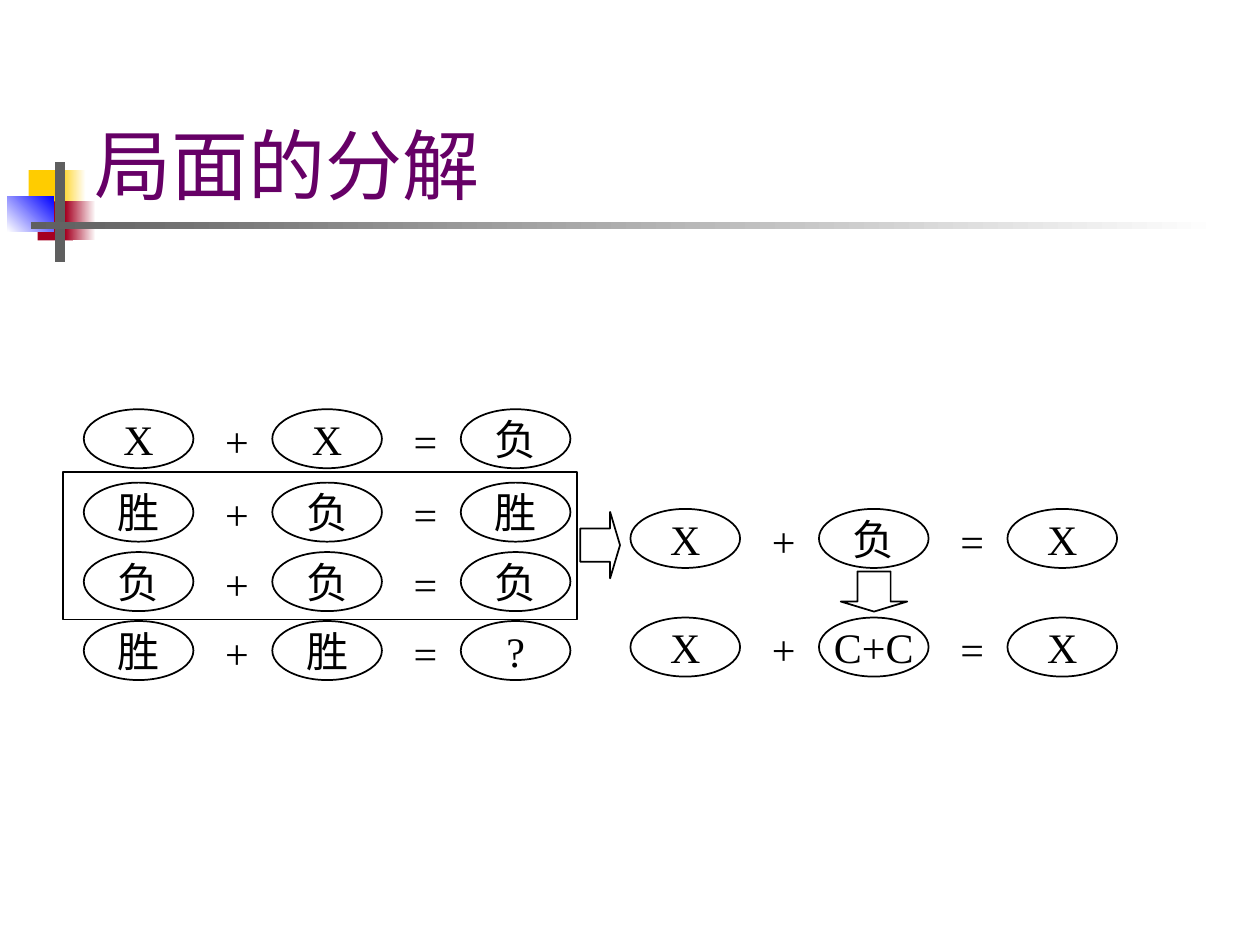
from dataclasses import dataclass

from pptx import Presentation
from pptx import util as u
from pptx.dml.color import RGBColor
from pptx.enum import shapes, text

Cm = u.Cm
PRESET = shapes.MSO_SHAPE
BLACK, WHITE, PURPLE = "000000", "FFFFFF", "660066"
YELLOW, RED, BLUE, GRAY = "FFCC00", "A50021", "0000FF", "5F5F5F"

# Equation grid, in centimetres
OVAL_WIDTH, OVAL_HEIGHT = 2.21, 1.19
COLUMN_STEP = 3.8
OPERATOR_OFFSET, OPERATOR_WIDTH, OPERATOR_HEIGHT = 2.6, 1.0, 1.27
LEFT_COLUMN, RIGHT_COLUMN = 1.69, 12.71


@dataclass
class Box:
    left: float
    top: float
    width: float
    height: float

    def lengths(self) -> tuple:
        return Cm(self.left), Cm(self.top), Cm(self.width), Cm(self.height)


@dataclass
class Ornament:
    box: Box
    color: str
    end_color: str = ""
    angle: int = 0


@dataclass
class Equation:
    left: float
    top: float
    terms: tuple


ORNAMENTS = [
    Ornament(Box(0.58, 3.43, 0.74, 0.79), YELLOW),
    Ornament(Box(1.17, 3.43, 0.56, 0.79), WHITE, YELLOW, 180),
    Ornament(Box(0.76, 4.06, 0.71, 0.79), RED),
    Ornament(Box(1.32, 4.06, 0.61, 0.79), WHITE, RED, 180),
    Ornament(Box(0.15, 3.96, 0.94, 0.71), BLUE, WHITE, 225),
    Ornament(Box(1.11, 3.27, 0.2, 2.01), GRAY),
    Ornament(Box(0.62, 4.47, 24, 0.15), WHITE, GRAY, 180),
]

EQUATIONS = [
    Equation(LEFT_COLUMN, 9.73, ("胜", "负", "胜")),
    Equation(LEFT_COLUMN, 11.13, ("负", "负", "负")),
    Equation(LEFT_COLUMN, 12.52, ("胜", "胜", "?")),
    Equation(RIGHT_COLUMN, 12.45, ("X", "C+C", "X")),
    Equation(LEFT_COLUMN, 8.25, ("X", "X", "负")),
    Equation(RIGHT_COLUMN, 10.26, ("X", "负", "X")),
]

OUTLINES = [
    (PRESET.DOWN_ARROW, Box(16.95, 11.52, 1.34, 0.81)),
    (PRESET.RIGHT_ARROW, Box(11.7, 10.32, 0.8, 1.34)),
    (PRESET.RECTANGLE, Box(1.27, 9.52, 10.37, 2.97)),
]


def rgb(color: str) -> RGBColor:
    return RGBColor.from_string(color)


def write(shape, content: str, *, size=24, font="Times New Roman", color=BLACK,
          align=text.PP_ALIGN.LEFT, anchor=text.MSO_ANCHOR.TOP, wrap=True) -> None:
    frame = shape.text_frame
    frame.auto_size = text.MSO_AUTO_SIZE.NONE
    frame.word_wrap = wrap
    frame.vertical_anchor = anchor
    paragraph = frame.paragraphs[0]
    paragraph.alignment = align
    run = paragraph.add_run()
    run.text = content
    run.font.size = u.Pt(size)
    run.font.name = font
    run.font.color.rgb = rgb(color)


def add_outline(parent, preset: PRESET, box: Box):
    shape = parent.shapes.add_shape(preset, *box.lengths())
    shape.shadow.inherit = False
    shape.fill.background()
    shape.line.color.rgb = rgb(BLACK)
    shape.line.width = u.Pt(1)
    return shape


def add_ornament(slide, ornament: Ornament) -> None:
    shape = slide.shapes.add_shape(PRESET.RECTANGLE, *ornament.box.lengths())
    shape.shadow.inherit = False
    shape.line.fill.background()
    if not ornament.end_color:
        shape.fill.solid()
        shape.fill.fore_color.rgb = rgb(ornament.color)
        return
    shape.fill.gradient()
    shape.fill.gradient_angle = ornament.angle
    colors = (ornament.color, ornament.end_color)
    for stop, color in zip(shape.fill.gradient_stops, colors):
        stop.color.rgb = rgb(color)


def add_equation(slide, equation: Equation) -> None:
    group = slide.shapes.add_group_shape()
    for column, term in enumerate(equation.terms):
        left = equation.left + column * COLUMN_STEP
        oval = add_outline(group, PRESET.OVAL,
                           Box(left, equation.top, OVAL_WIDTH, OVAL_HEIGHT))
        write(oval, term, align=text.PP_ALIGN.CENTER,
              anchor=text.MSO_ANCHOR.MIDDLE, wrap=False)
    for column, operator in enumerate("+="):
        left = equation.left + column * COLUMN_STEP + OPERATOR_OFFSET
        box = Box(left, equation.top, OPERATOR_WIDTH, OPERATOR_HEIGHT)
        write(group.shapes.add_textbox(*box.lengths()), operator)


def main() -> None:
    presentation = Presentation()
    presentation.slide_width, presentation.slide_height = Cm(25.4), Cm(19.05)
    slide = presentation.slides.add_slide(presentation.slide_layouts[5])

    # Corner ornament and rule
    for ornament in ORNAMENTS:
        add_ornament(slide, ornament)

    # Title, in front of the ornament
    title = slide.shapes.title
    title.left, title.top, title.width, title.height = Box(1.65, 1.7, 22.45, 3.18).lengths()
    write(title, "局面的分解", size=44, font="Arial", color=PURPLE,
          anchor=text.MSO_ANCHOR.MIDDLE)
    title.element.getparent().append(title.element)

    # Equations, then the arrows and frame that relate them
    for equation in EQUATIONS:
        add_equation(slide, equation)
    for preset, box in OUTLINES:
        shape = add_outline(slide, preset, box)
        if preset != PRESET.RECTANGLE:
            shape.adjustments[0], shape.adjustments[1] = 0.5, 0.25

    presentation.save("out.pptx")


if __name__ == "__main__":
    main()
